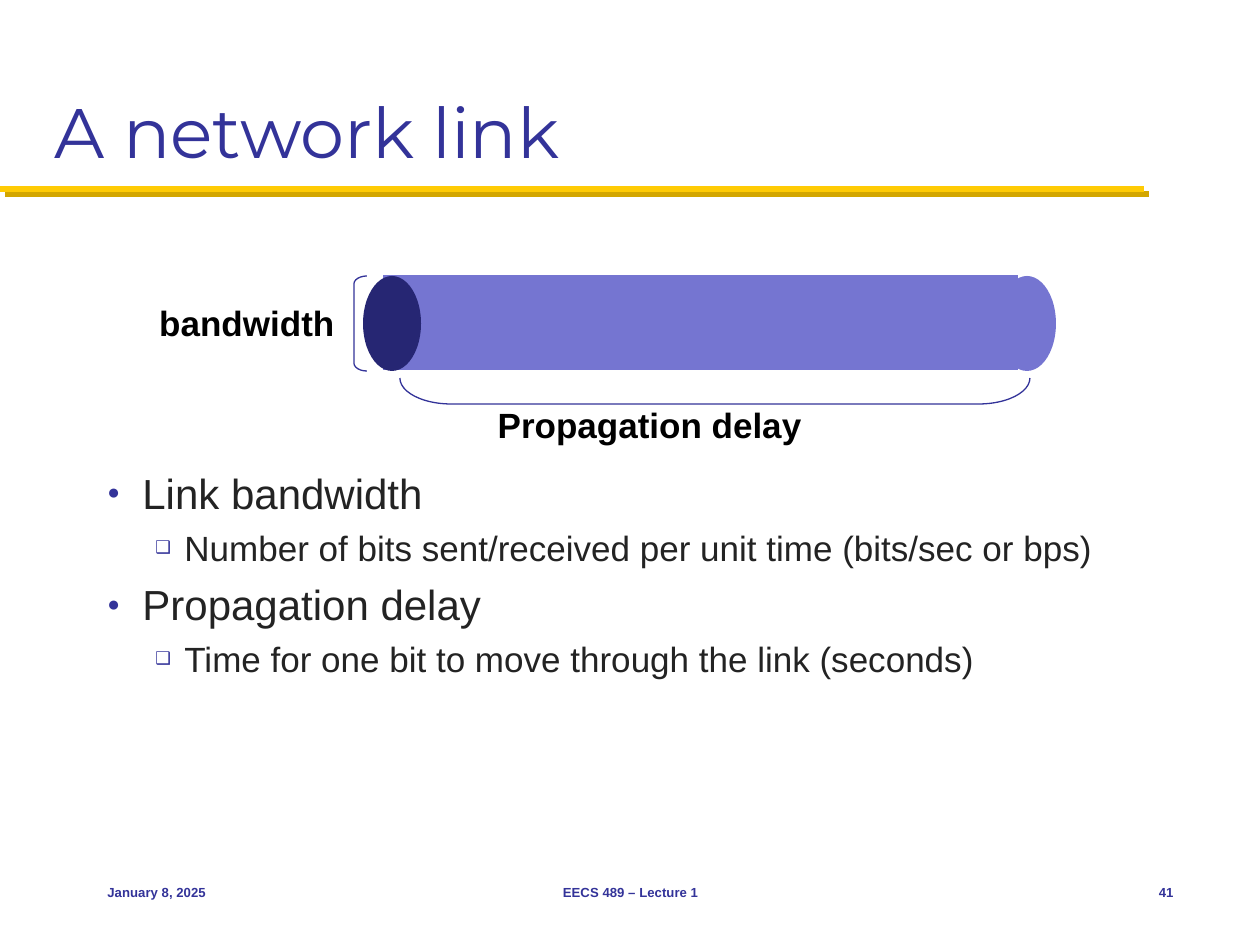
from lxml.etree import SubElement
from pptx import Presentation
from pptx.dml.color import RGBColor
from pptx.enum.shapes import MSO_CONNECTOR, MSO_SHAPE as SHAPE
from pptx.enum.text import MSO_ANCHOR as ANCHOR, PP_ALIGN as ALIGN
from pptx.oxml.ns import qn
from pptx.util import Emu, Pt

NAVY, LILAC, INK, TEXT = "333399", "7575D1", "262673", "232323"


def px(*nums):
    return [Emu(round(n * 914400 / 126)) for n in nums]


def rgb(code):
    return RGBColor.from_string(code)


def style(para, size, color, bold=False, face="Arial"):
    for run in para.runs:
        font = run.font
        font.name, font.size, font.bold = face, Pt(size), bold
        font.color.rgb = rgb(color)


def label(slide, box, text, size, color, align, anchor=ANCHOR.TOP):
    frame = slide.shapes.add_textbox(*px(*box)).text_frame
    frame.word_wrap, frame.vertical_anchor = False, anchor
    frame.text = text
    para = frame.paragraphs[0]
    para.alignment = align
    style(para, size, color, bold=True)


def shape(slide, kind, box, fill=None, line=None):
    item = slide.shapes.add_shape(kind, *px(*box))
    item.shadow.inherit = False
    if fill:
        item.fill.solid()
        item.fill.fore_color.rgb = rgb(fill)
    else:
        item.fill.background()
    if line:
        item.line.color.rgb = rgb(line)
        item.line.width = Pt(0.75)
    else:
        item.line.fill.background()
    return item


def header(slide, box, text):
    title = slide.shapes.title
    title.left, title.top, title.width, title.height = px(*box)
    frame = title.text_frame
    frame.vertical_anchor = ANCHOR.BOTTOM
    frame.text = text
    frame.paragraphs[0].alignment = ALIGN.LEFT
    style(frame.paragraphs[0], 40, NAVY, face="Montserrat")


def rule(slide, x, y, width):
    """Draw the gold line with its hard shadow."""
    line = slide.shapes.add_connector(
        MSO_CONNECTOR.STRAIGHT, *px(x, y, x + width, y))
    line.line.color.rgb = rgb("FFCB05")
    line.line.width = Pt(3.5)
    effects = SubElement(line._element.spPr, qn("a:effectLst"))
    shade = SubElement(effects, qn("a:outerShdw"), dist=str(Pt(4.2)),
                       dir="2700000", algn="ctr", rotWithShape="0")
    SubElement(shade, qn("a:srgbClr"), val="D3A600")


def pipe(slide, x, y, width, height):
    """Draw the link as a tube with its two measures."""
    cap = 58
    mid = cap // 2
    shape(slide, SHAPE.OVAL, (x + width - cap, y, cap, height), LILAC)
    shape(slide, SHAPE.RECTANGLE, (x + 20, y - 1, width - cap, height), LILAC)
    shape(slide, SHAPE.OVAL, (x, y, cap, height), INK)

    side = shape(slide, SHAPE.LEFT_BRACKET, (x - 9, y, 13, height), line=NAVY)
    side.adjustments[0] = 0.61
    label(slide, (x - 218, y + 19, 202, 55), "bandwidth", 20, "000000",
          ALIGN.RIGHT)

    span, deep = width - 2 * mid - 5, 26
    left, top = x + mid + 8, y + height + 7
    under = shape(slide, SHAPE.LEFT_BRACKET,
                  (left + (span - deep) / 2, top + (deep - span) / 2,
                   deep, span), line=NAVY)
    under.rotation = 270
    under.adjustments[0] = 1.98
    label(slide, (x + 120, top + 19, 331, 55), "Propagation delay", 20,
          "000000", ALIGN.RIGHT)


def bullet(para, mark, left, hang):
    props = para._p.get_or_add_pPr()
    props.set("marL", str(px(left)[0]))
    props.set("indent", str(px(-hang)[0]))
    color = SubElement(props, qn("a:buClr"))
    SubElement(color, qn("a:srgbClr"), val=NAVY)
    SubElement(props, qn("a:buSzPct"), val="50000")
    SubElement(props, qn("a:buFont"), typeface="Arial")
    SubElement(props, qn("a:buChar"), char=mark)


def points(slide, box, items):
    # level: mark, left indent, hang, text size, space before
    levels = [("●", 35, 35, 24, 6), ("❑", 77, 29, 20, 5)]
    frame = slide.shapes.add_textbox(*px(*box)).text_frame
    frame.word_wrap = True
    for i, (level, text) in enumerate(items):
        para = frame.add_paragraph() if i else frame.paragraphs[0]
        mark, left, hang, size, gap = levels[level]
        para.text, para.level = text, level
        bullet(para, mark, left, hang)
        para.space_before = Pt(gap if i else 0)
        style(para, size, TEXT)


def footer(slide, y, height):
    parts = [(95, 262, "January 8, 2025", ALIGN.LEFT),
             (431, 399, "EECS 489 – Lecture 1", ALIGN.CENTER),
             (1102, 84, "41", ALIGN.RIGHT)]
    for x, width, text, align in parts:
        label(slide, (x, y, width, height), text, 7.5, NAVY, align,
              ANCHOR.MIDDLE)


def main():
    deck = Presentation()
    deck.slide_width, deck.slide_height = px(1260, 945)
    slide = deck.slides.add_slide(deck.slide_layouts[5])
    rule(slide, 0, 189, 1144)
    header(slide, (42, 21, 1176, 158), "A network link")
    pipe(slide, 363, 276, 693, 95)
    points(slide, (95, 461, 1092, 368), [
        (0, "Link bandwidth"),
        (1, "Number of bits sent/received per unit time (bits/sec or bps)"),
        (0, "Propagation delay"),
        (1, "Time for one bit to move through the link (seconds)"),
    ])
    footer(slide, 861, 63)
    deck.save("out.pptx")


if __name__ == "__main__":
    main()
